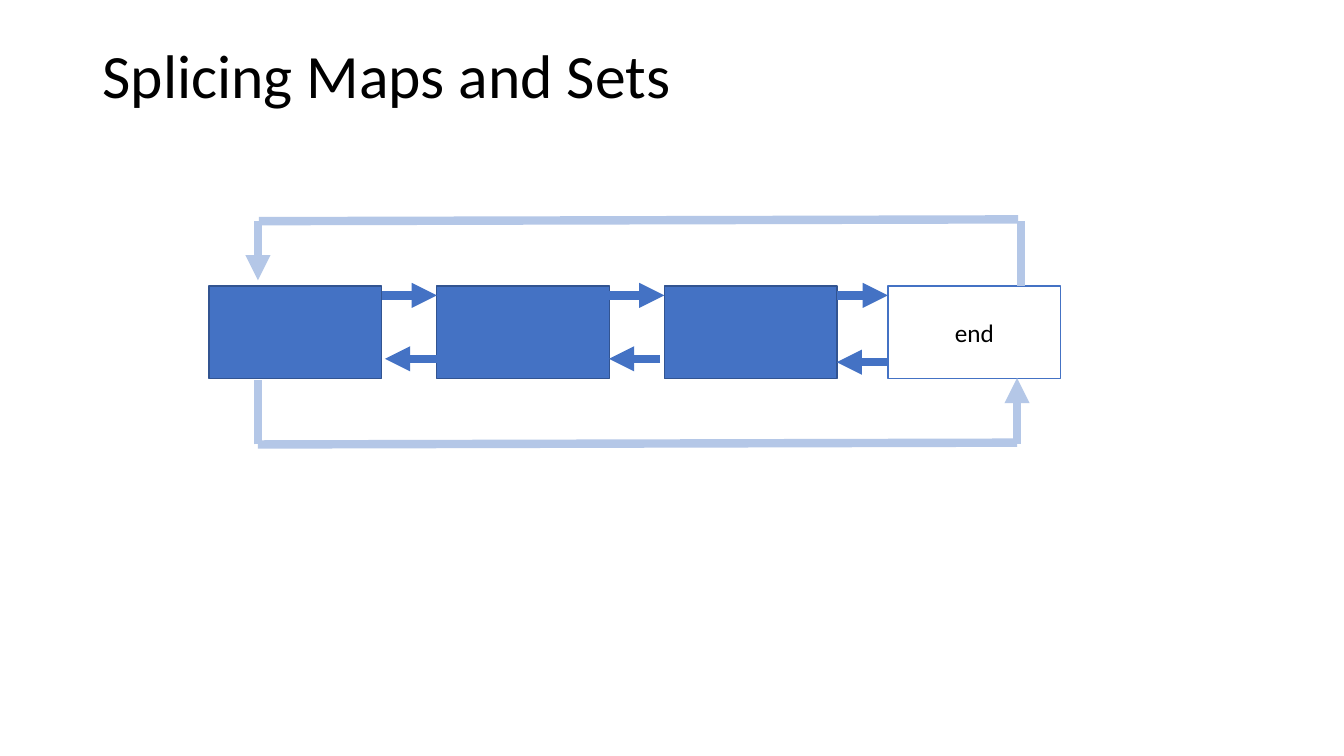
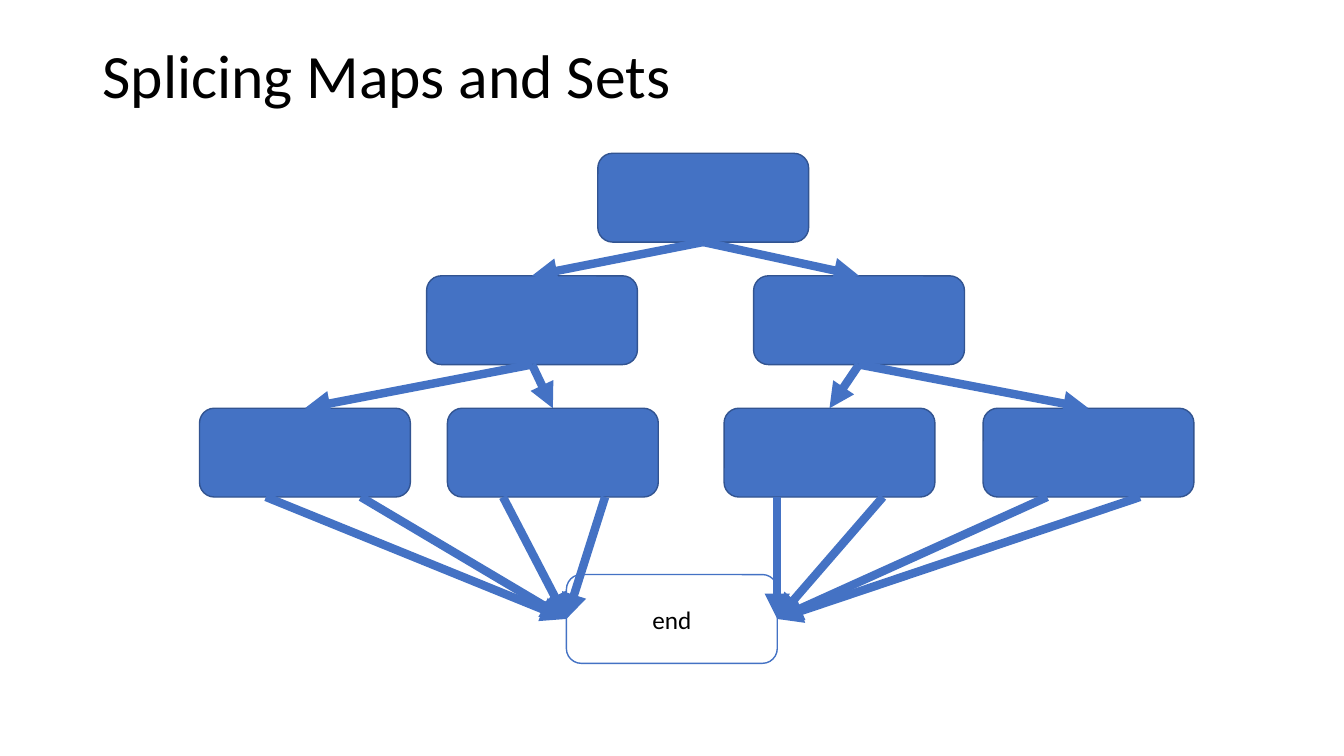
"""Build two slides on splicing maps and sets: a linked list and a tree."""
from dataclasses import dataclass
from itertools import pairwise

from pptx import Presentation
from pptx.dml.color import RGBColor as RGB
from pptx.enum.shapes import MSO_CONNECTOR as CONN, MSO_SHAPE as SHAPE
from pptx.enum.text import MSO_ANCHOR as ANCHOR, MSO_AUTO_SIZE as AUTO, PP_ALIGN as ALIGN
from pptx.oxml.ns import qn
from pptx.util import Pt
from lxml import etree


@dataclass(frozen=True)
class Theme:
    font: str = "Calibri"
    title_size: int = 44
    label_size: int = 18
    outline: int = 1
    arrow: int = 6
    text: RGB = RGB(0, 0, 0)
    blue: RGB = RGB.from_string("4472C4")
    edge: RGB = RGB.from_string("325491")
    pale: RGB = RGB.from_string("B4C7E7")
    white: RGB = RGB.from_string("FFFFFF")


theme = Theme()


def add_node(s, kind, x, y, w, h, label=""):
    sp = s.shapes.add_shape(kind, Pt(x), Pt(y), Pt(w), Pt(h))
    sp.shadow.inherit = False
    sp.fill.solid()
    sp.fill.fore_color.rgb = theme.white if label else theme.blue
    sp.line.color.rgb = theme.blue if label else theme.edge
    sp.line.width = Pt(theme.outline)
    if label:
        tf = sp.text_frame
        tf.text = label
        tf.vertical_anchor = ANCHOR.MIDDLE
        p = tf.paragraphs[0]
        p.alignment = ALIGN.CENTER
        p.font.name = theme.font
        p.font.size = Pt(theme.label_size)
        p.font.color.rgb = theme.text


def add_line(s, x1, y1, x2, y2, color=theme.blue, head=True):
    c = s.shapes.add_connector(CONN.STRAIGHT, Pt(x1), Pt(y1), Pt(x2), Pt(y2))
    c.line.color.rgb = color
    c.line.width = Pt(theme.arrow)
    if head:
        etree.SubElement(c.line._ln, qn("a:tailEnd"), type="triangle")
    etree.SubElement(c._element.spPr, qn("a:effectLst"))


prs = Presentation()
prs.slide_width, prs.slide_height = Pt(960), Pt(540)

for _ in range(2):
    s = prs.slides.add_slide(prs.slide_layouts[5])
    title = s.shapes.title
    title.left, title.top, title.width, title.height = Pt(66), Pt(28.8), Pt(828), Pt(104.4)
    tf = title.text_frame
    tf.text = "Splicing Maps and Sets"
    tf.word_wrap = True
    tf.auto_size = AUTO.NONE
    tf.vertical_anchor = ANCHOR.TOP
    p = tf.paragraphs[0]
    p.alignment = ALIGN.LEFT
    p.line_spacing = 0.9
    p.font.name = theme.font
    p.font.size = Pt(theme.title_size)
    p.font.color.rgb = theme.text

list_slide, tree_slide = prs.slides

box_w, box_h, box_y = 123.3, 66, 204.3
box_lefts = [149.3, 312, 474.5, 634.3]
for x in box_lefts:
    add_node(list_slide, SHAPE.RECTANGLE, x, box_y, box_w, box_h,
             "end" if x == box_lefts[-1] else "")
for x, next_x in pairwise(box_lefts):
    add_line(list_slide, x + box_w, 211, next_x, 211)
for x1, x2, y in [(312, 275, 256.3), (471.5, 435, 256.3), (634.3, 597.7, 258.7)]:
    add_line(list_slide, x1, y, x2, y)

loop_lines = [
    (729.3, 204.3, 729.3, 158, False),
    (727.3, 156.7, 185, 158, False),
    (184.3, 158, 184.3, 200.2, True),
    (726.5, 316.2, 184.3, 317.5, False),
    (184.3, 317.5, 184.3, 271.4, False),
    (726.5, 316.8, 726.5, 270, True),
]
for *ends, head in loop_lines:
    add_line(list_slide, *ends, theme.pale, head)

node_w, node_h = 150.6, 63.4
nodes = [(427, 109.5), (304.7, 197), (538.3, 197),
         (142.5, 291.6), (319.6, 291.6), (517.2, 291.6), (702.2, 291.6)]
for x, y in nodes:
    add_node(tree_slide, SHAPE.ROUNDED_RECTANGLE, x, y, node_w, node_h)
for i, (x, y) in enumerate(nodes[:3]):
    for child_x, child_y in nodes[2 * i + 1:2 * i + 3]:
        add_line(tree_slide, x + node_w / 2, y + node_h, child_x + node_w / 2, child_y)

end_x, end_y = 404.6, 410.4
add_node(tree_slide, SHAPE.ROUNDED_RECTANGLE, end_x, end_y, node_w, node_h, "end")
leaf_bottom = nodes[-1][1] + node_h
null_links = {
    end_x: (190, 257.8, 359.3, 432.2),
    end_x + node_w: (555.2, 630.7, 748, 814.3),
}
for side_x, starts in null_links.items():
    for x in starts:
        add_line(tree_slide, x, leaf_bottom, side_x, end_y + node_h / 2)

prs.save("out.pptx")
